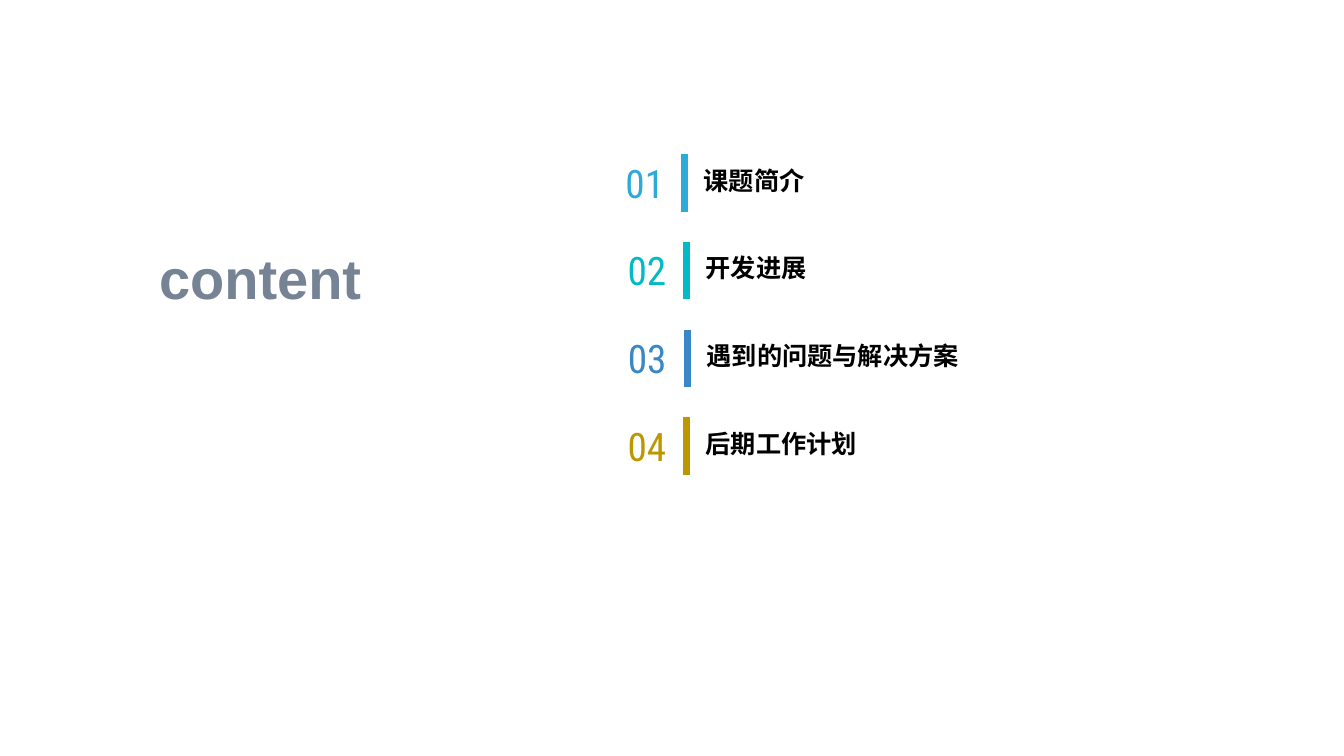
from lxml.etree import SubElement
from pptx import Presentation
from pptx.dml.color import RGBColor
from pptx.enum.shapes import MSO_CONNECTOR
from pptx.enum.text import MSO_ANCHOR, PP_ALIGN
from pptx.oxml.ns import qn
from pptx.util import Inches, Pt

BLACK = RGBColor(0x00, 0x00, 0x00)
WHITE = RGBColor(0xFF, 0xFF, 0xFF)
SLATE = RGBColor(0x76, 0x83, 0x94)
SKY = RGBColor(0x2E, 0xAA, 0xDA)
TEAL = RGBColor(0x00, 0xBA, 0xC6)
BLUE = RGBColor(0x3A, 0x87, 0xC7)
GOLD = RGBColor(0xBD, 0x97, 0x00)

# Number, title, colour, width of the number, offset of the bar
CHAPTERS = [
    ("01", "课题简介", SKY, 0.51, 0.65),
    ("02", "开发进展", TEAL, 0.55, 0.67),
    ("03", "遇到的问题与解决方案", BLUE, 0.56, 0.68),
    ("04", "后期工作计划", GOLD, 0.55, 0.67),
]
ROW_PITCH = 0.87
BAR_HEIGHT = 0.57


def add_text(slide, text, left, top, width, height, *, size, color,
             font="Arial", bold=False, align=PP_ALIGN.LEFT,
             anchor=MSO_ANCHOR.MIDDLE, margins=(0.1, 0.05), line_spacing=None):
    box = slide.shapes.add_textbox(Inches(left), Inches(top), Inches(width), Inches(height))
    frame = box.text_frame
    frame.word_wrap = False
    frame.vertical_anchor = anchor
    frame.margin_left = frame.margin_right = Inches(margins[0])
    frame.margin_top = frame.margin_bottom = Inches(margins[1])
    paragraph = frame.paragraphs[0]
    paragraph.alignment = align
    paragraph.line_spacing = line_spacing
    run = paragraph.add_run()
    run.text = text
    run.font.name = font
    run.font.size = Pt(size)
    run.font.bold = bold
    run.font.color.rgb = color


def add_bar(slide, x, top, height, color):
    bar = slide.shapes.add_connector(
        MSO_CONNECTOR.STRAIGHT, Inches(x), Inches(top), Inches(x), Inches(top + height))
    bar.line.color.rgb = color
    bar.line.width = Pt(4.5)
    SubElement(bar._element.spPr, qn("a:effectLst"))


def add_chapter(slide, left, top, chapter):
    number, title, color, number_width, bar_offset = chapter
    add_text(slide, number, left, top + 0.03, number_width, 0.5, size=28, color=color,
             font="Roboto Condensed", align=PP_ALIGN.CENTER, margins=(0, 0))
    add_bar(slide, left + bar_offset, top, BAR_HEIGHT, color)
    add_text(slide, title, left + bar_offset + 0.09, top + 0.08, 4.88, 0.38, size=18,
             color=BLACK, bold=True, anchor=MSO_ANCHOR.BOTTOM, line_spacing=0.9)


def add_chapter_list(slide, left, top):
    for row, chapter in enumerate(CHAPTERS):
        add_chapter(slide, left, top + row * ROW_PITCH, chapter)


def add_heading(slide, left, top, width, height):
    add_text(slide, "content", left, top, width, height, size=40, color=SLATE,
             bold=True, line_spacing=0.9)


def main():
    presentation = Presentation()
    presentation.slide_width = Inches(13.33)
    presentation.slide_height = Inches(7.5)
    slide = presentation.slides.add_slide(presentation.slide_layouts[6])
    slide.background.fill.solid()
    slide.background.fill.fore_color.rgb = WHITE

    # Numbered chapters on the right, heading on the left
    add_chapter_list(slide, 6.14, 1.53)
    add_heading(slide, 1.48, 2.43, 2.3, 0.72)

    presentation.save("out.pptx")


if __name__ == "__main__":
    main()
